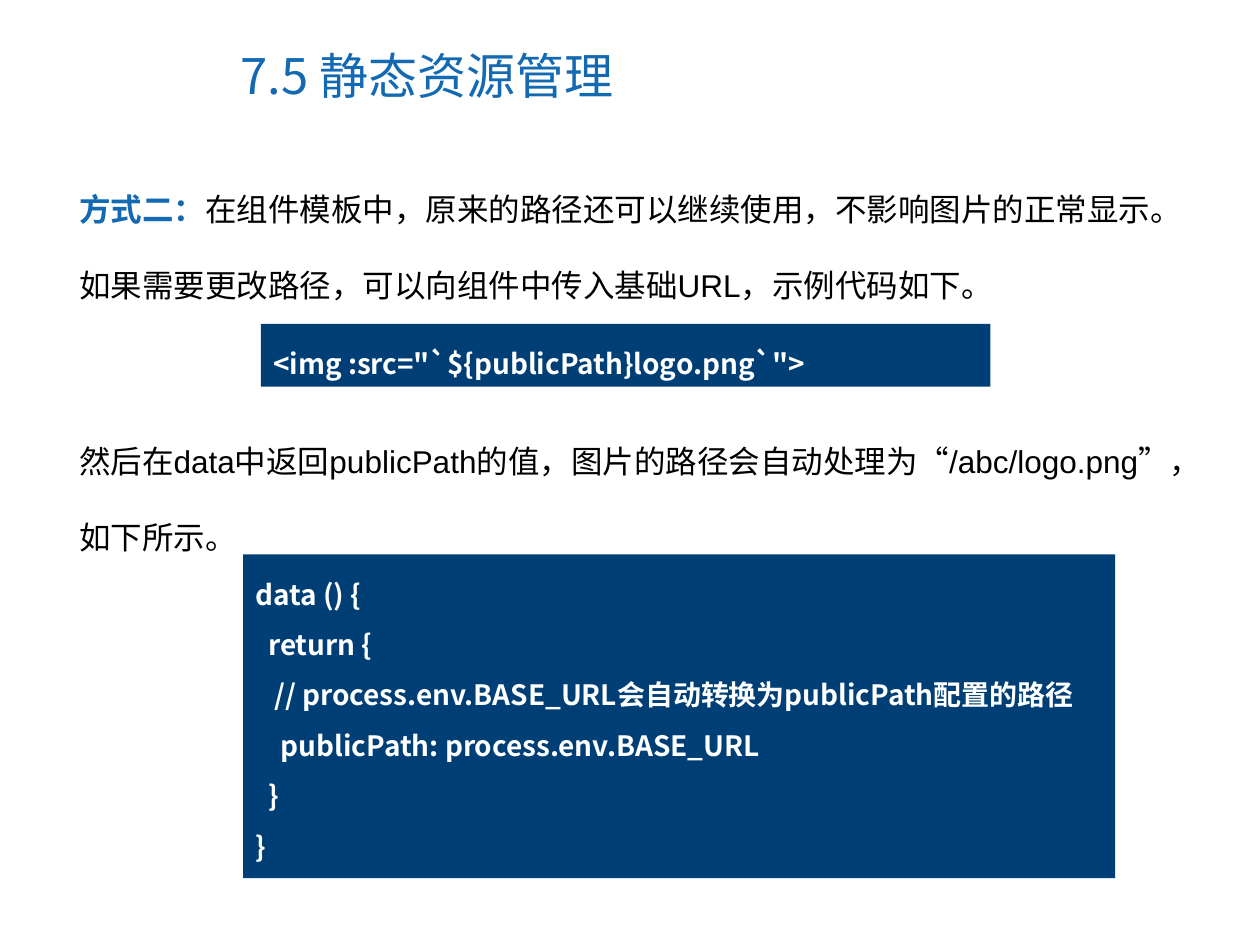
from lxml.etree import SubElement
from pptx import Presentation
from pptx.dml.color import RGBColor
from pptx.enum.lang import MSO_LANGUAGE_ID
from pptx.enum.shapes import MSO_SHAPE
from pptx.enum.text import MSO_ANCHOR, MSO_AUTO_SIZE, PP_ALIGN
from pptx.oxml.ns import qn
from pptx.util import Inches, Pt

COLORS = {"blue": "1369B2", "navy": "003F75", "black": "000000", "white": "FFFFFF"}
SANS = "Noto Sans CJK SC"
HEAD = {"size": Pt(28), "name": SANS, "bold": False}
BODY = {"size": Pt(18), "name": "Arial", "bold": False}
LEAD = {**BODY, "bold": True}
CODE = {"size": Pt(16), "name": SANS, "bold": True}


def add_run(para, text, form, color):
    run = para.add_run()
    run.text = text
    for key, value in form.items():
        setattr(run.font, key, value)
    run.font.language_id = MSO_LANGUAGE_ID.SIMPLIFIED_CHINESE
    run.font.color.rgb = RGBColor.from_string(COLORS[color])
    SubElement(run.font._element, qn("a:ea")).set("typeface", SANS)


def fill_text(frame, lines, space):
    """Write lines, each a list of (text, format, color) runs."""
    frame.word_wrap = True
    frame.auto_size = MSO_AUTO_SIZE.SHAPE_TO_FIT_TEXT
    frame.vertical_anchor = MSO_ANCHOR.TOP
    for i, runs in enumerate(lines):
        para = frame.add_paragraph() if i else frame.paragraphs[0]
        para.alignment = PP_ALIGN.LEFT
        para.line_spacing = space
        for run in runs:
            add_run(para, *run)


deck = Presentation()
deck.slide_width, deck.slide_height = Inches(10), Inches(7.5)
slide = deck.slides.add_slide(deck.slide_layouts[5])

title = slide.shapes.title
title.left, title.top, title.width, title.height = map(Inches, (1.81, 0.17, 5.16, 0.85))
title.text_frame.vertical_anchor = MSO_ANCHOR.MIDDLE
head = title.text_frame.paragraphs[0]
head.alignment = PP_ALIGN.LEFT
add_run(head, "7.5 静态资源管理", HEAD, "blue")

notes = [
    ((0.53, 1.16, 9.09, 1.31), [
        ("方式二：", LEAD, "blue"),
        ("在组件模板中，原来的路径还可以继续使用，不影响图片的正常显示。"
         "如果需要更改路径，可以向组件中传入基础URL，示例代码如下。", BODY, "black"),
    ]),
    ((0.53, 3.16, 9.28, 1.31), [
        ("然后在data中返回publicPath的值，图片的路径会自动处理"
         "为“/abc/logo.png”，如下所示。", BODY, "black"),
    ]),
]
codes = [
    ((2.07, 2.57, 5.79, 0.5), ['<img :src="`${publicPath}logo.png`">']),
    ((1.93, 4.4, 6.92, 2.57), [
        "data () {",
        "  return {",
        "   // process.env.BASE_URL会自动转换为publicPath配置的路径",
        "    publicPath: process.env.BASE_URL",
        "  }",
        "}",
    ]),
]

for (note_at, runs), (code_at, lines) in zip(notes, codes):
    note = slide.shapes.add_textbox(*map(Inches, note_at))
    fill_text(note.text_frame, [runs], 2.0)

    block = slide.shapes.add_shape(MSO_SHAPE.RECTANGLE, *map(Inches, code_at))
    block.shadow.inherit = False
    block.fill.solid()
    block.fill.fore_color.rgb = RGBColor.from_string(COLORS["navy"])
    block.line.fill.background()
    fill_text(block.text_frame, [[(line, CODE, "white")] for line in lines], 1.5)

deck.save("out.pptx")
